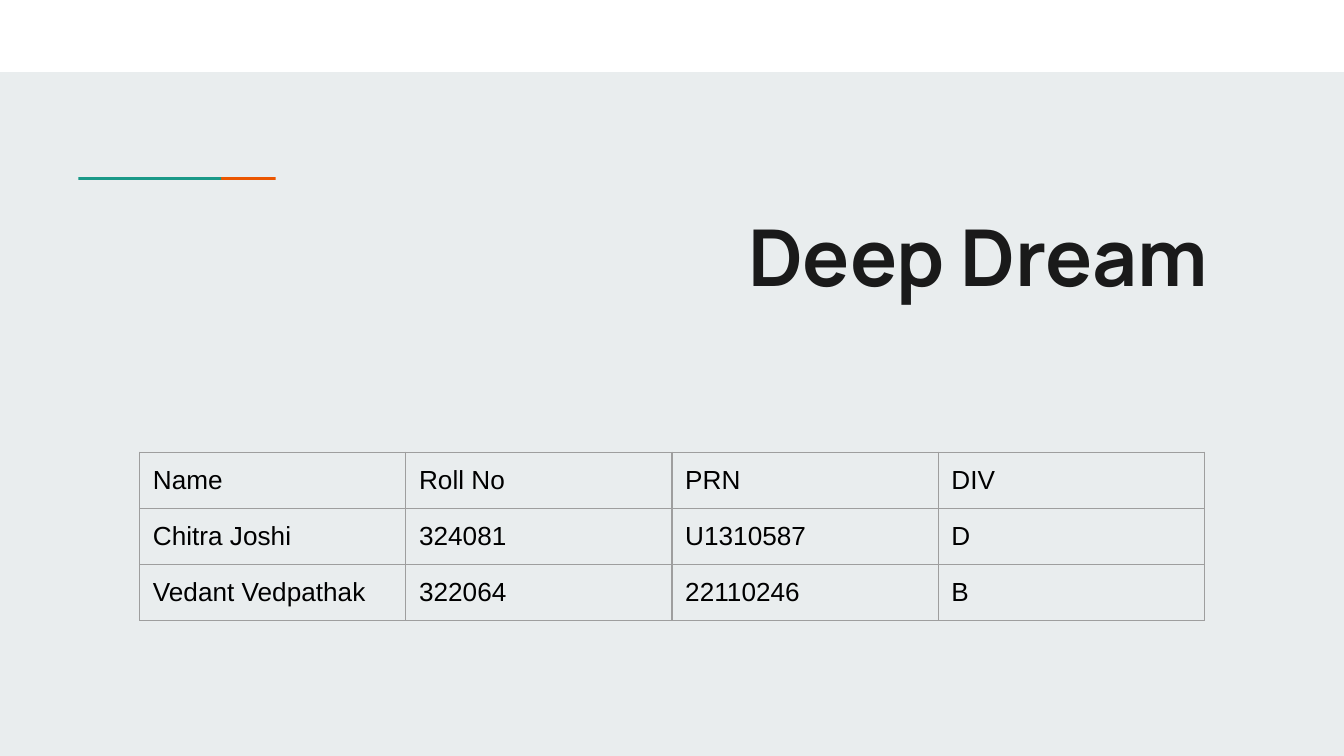
"""Build the Deep Dream title slide with its table of team members."""
from lxml import etree
from pptx import Presentation
from pptx import util as u
from pptx.dml.color import RGBColor
from pptx.enum import shapes, text
from pptx.oxml.ns import qn

BACKDROP = RGBColor(0xE9, 0xED, 0xEE)
WHITE = RGBColor(0xFF, 0xFF, 0xFF)
TEAL = RGBColor(0x1A, 0x99, 0x88)
ORANGE = RGBColor(0xEB, 0x56, 0x00)
INK = RGBColor(0x1A, 0x1A, 0x1A)
BLACK = RGBColor(0x00, 0x00, 0x00)
GRID = RGBColor(0x9E, 0x9E, 0x9E)

INSET = u.Cm(0.25)
CELL_BOTTOM = u.Cm(0.2)
MEMBERS = [
    ("Name", "Roll No", "PRN", "DIV"),
    ("Chitra Joshi", "324081", "U1310587", "D"),
    ("Vedant Vedpathak", "322064", "22110246", "B"),
]


def add_bar(slide, left, top, width, height, color):
    bar = slide.shapes.add_shape(
        shapes.MSO_SHAPE.RECTANGLE, u.Cm(left), u.Cm(top), u.Cm(width), u.Cm(height)
    )
    bar.shadow.inherit = False
    bar.fill.solid()
    bar.fill.fore_color.rgb = color
    bar.line.fill.background()


def set_insets(holder, bottom=INSET):
    holder.margin_left = holder.margin_right = holder.margin_top = INSET
    holder.margin_bottom = bottom


def add_run(paragraph, words, font_name, size, color, bold=False):
    run = paragraph.add_run()
    run.text = words
    run.font.name = font_name
    run.font.size = u.Pt(size)
    run.font.bold = bold
    run.font.color.rgb = color


def add_title(slide, words):
    title = slide.shapes.add_textbox(u.Cm(2.02), u.Cm(3.68), u.Cm(21.35), u.Cm(4.62))
    frame = title.text_frame
    frame.word_wrap = True
    frame.vertical_anchor = text.MSO_ANCHOR.TOP
    set_insets(frame)
    heading = frame.paragraphs[0]
    heading.alignment = text.PP_ALIGN.RIGHT
    add_run(heading, words, "Manrope", 42, INK, bold=True)


def outline_cell(cell):
    properties = cell._tc.get_or_add_tcPr()
    for side in ("a:lnL", "a:lnR", "a:lnT", "a:lnB"):
        border = etree.SubElement(properties, qn(side), w=str(u.Pt(0.75)))
        paint = etree.SubElement(border, qn("a:solidFill"))
        etree.SubElement(paint, qn("a:srgbClr"), val=str(GRID))


def add_member_table(slide, members):
    column_width, row_height = u.Cm(5.03), u.Cm(1.06)
    roster = slide.shapes.add_table(
        len(members), len(members[0]), u.Cm(2.64), u.Cm(8.55),
        column_width * len(members[0]), row_height * len(members),
    ).table
    roster.first_row = False
    roster.horz_banding = False
    for row, member in enumerate(members):
        for column, detail in enumerate(member):
            cell = roster.cell(row, column)
            set_insets(cell, CELL_BOTTOM)
            outline_cell(cell)
            cell.fill.background()
            add_run(cell.text_frame.paragraphs[0], detail, "Arial", 14, BLACK)


def main():
    deck = Presentation()
    deck.slide_width, deck.slide_height = u.Cm(25.4), u.Cm(14.29)
    slide = deck.slides.add_slide(deck.slide_layouts[6])
    slide.background.fill.solid()
    slide.background.fill.fore_color.rgb = BACKDROP
    add_bar(slide, 0, 0, 25.4, 1.36, WHITE)
    for left, color in ((2.51, ORANGE), (1.48, TEAL)):
        add_bar(slide, left, 3.35, 2.7, 0.05, color)
    add_title(slide, "Deep Dream ")
    add_member_table(slide, MEMBERS)
    deck.save("out.pptx")


if __name__ == "__main__":
    main()
